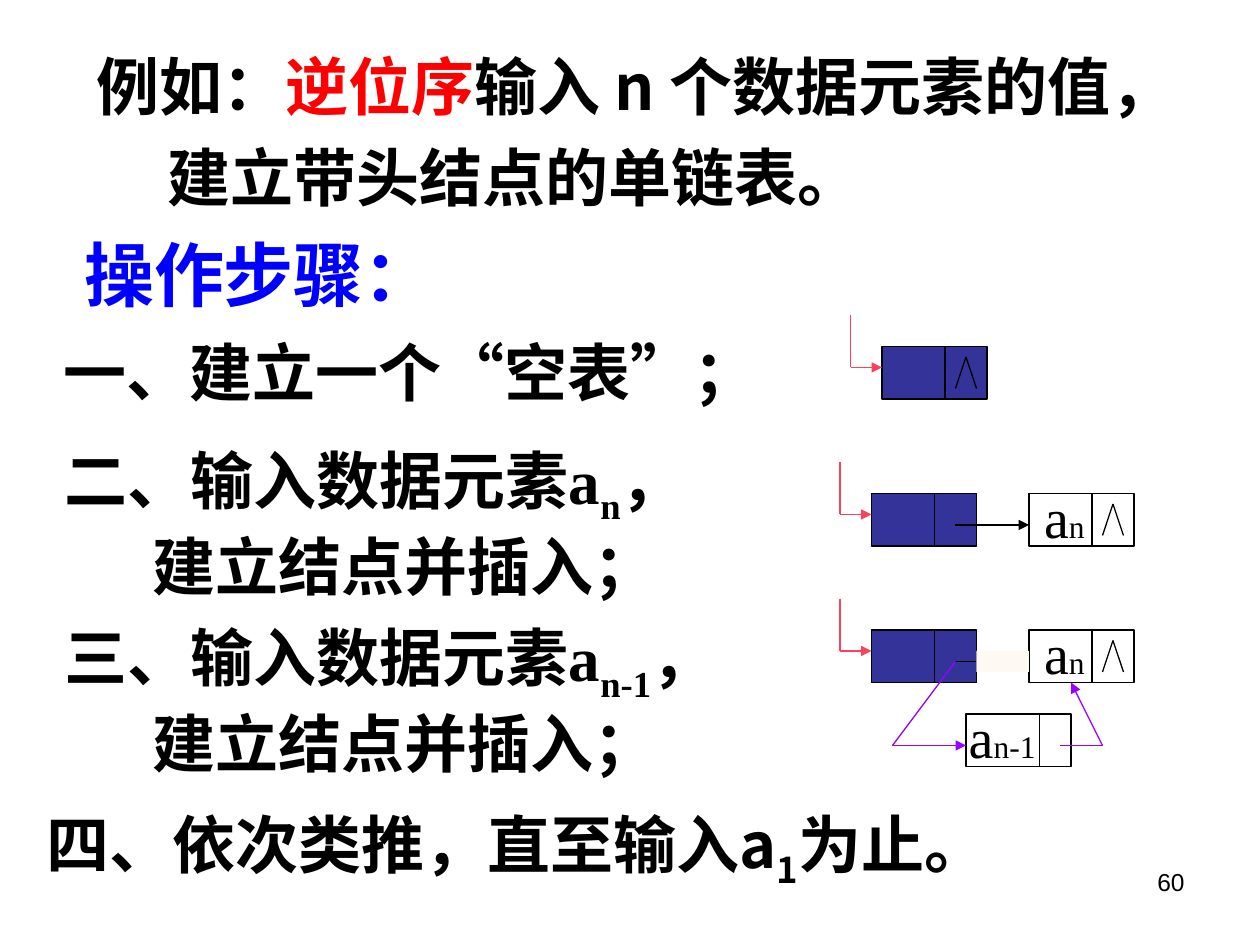
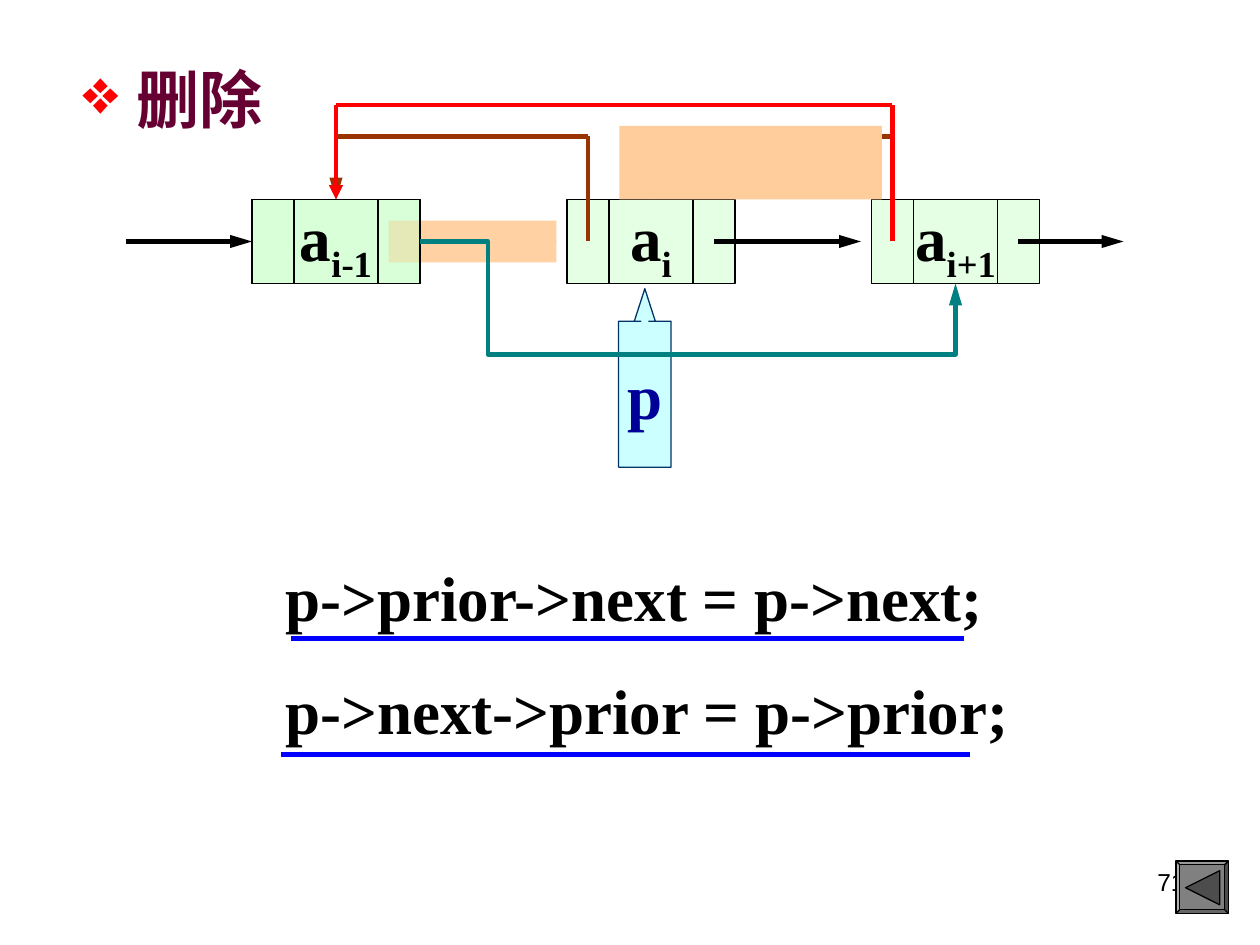
"""Build two slides on linked lists: reverse-order creation and node deletion."""
from itertools import pairwise

from lxml.etree import SubElement
from pptx import Presentation
from pptx.dml.color import RGBColor as Rgb
from pptx.enum.shapes import MSO_CONNECTOR as Connector, MSO_SHAPE as Preset
from pptx.enum.text import MSO_ANCHOR as Anchor, MSO_AUTO_SIZE as AutoSize, PP_ALIGN as Align
from pptx.oxml.ns import qn
from pptx.util import Pt

COLORS = {
    "black": "000000", "red": "FF0000", "blue": "0000FF", "wine": "660033",
    "head": "333399", "pointer": "FB415C", "purple": "9900FF", "cream": "FFF9F3",
    "green": "CCFFCC", "peach": "FFD1A3", "apricot": "FFCD9B", "brown": "993300",
    "teal": "008080", "cyan": "CCFFFF", "navy": "003366", "ink": "000099",
    "button": "808080", "button arrow": "4D4D4D",
}
SERIF, SANS, NUMBER = "Times New Roman", "Noto Sans CJK SC", "Arial"
TITLE_ONLY = 5
CELL_WIDTH, CELL_HEIGHT = 60, 30
NODE_WIDTH, NODE_HEIGHT, NODE_TOP = 96, 48, 114
NODE_MIDDLE = NODE_TOP + NODE_HEIGHT / 2


def color(name):
    return Rgb.from_string(COLORS[name])


def add_span(para, text, size=36, font=SERIF, ink="black", bold=True, lowered=False):
    span = para.add_run()
    span.text = text
    span.font.size, span.font.bold, span.font.name = Pt(size), bold, font
    span.font.color.rgb = color(ink)
    properties = span.font._element
    SubElement(properties, qn("a:ea")).set("typeface", SANS)
    if lowered:
        properties.set("baseline", "-25000")


def fill_frame(frame, paragraphs, align=Align.LEFT, spacing=1, second_indent=0, wrap=False, **style):
    """Each paragraph is a list of spans: (text, overrides of the shared style)."""
    frame.word_wrap = wrap
    for index, spans in enumerate(paragraphs):
        para = frame.add_paragraph() if index else frame.paragraphs[0]
        para.alignment, para.line_spacing = align, spacing
        if index and second_indent:
            para._p.get_or_add_pPr().set("marL", str(Pt(second_indent)))
        for text, changes in spans:
            add_span(para, text, **{**style, **changes})


def add_text(slide, place, paragraphs, **style):
    box = slide.shapes.add_textbox(*map(Pt, place))
    fill_frame(box.text_frame, paragraphs, **style)
    box.text_frame.auto_size = AutoSize.SHAPE_TO_FIT_TEXT


def set_title(slide, place, paragraphs, **style):
    title = slide.shapes.title
    title.left, title.top, title.width, title.height = map(Pt, place)
    fill_frame(title.text_frame, paragraphs, **style)
    title.text_frame.vertical_anchor = Anchor.TOP
    title.text_frame.auto_size = AutoSize.SHAPE_TO_FIT_TEXT
    return title


def add_bullet(para, symbol, ink, hang):
    properties = para._p.get_or_add_pPr()
    properties.set("marL", str(Pt(hang)))
    properties.set("indent", str(-Pt(hang)))
    bullet_color = SubElement(properties, qn("a:buClr"))
    SubElement(bullet_color, qn("a:srgbClr")).set("val", COLORS[ink])
    SubElement(properties, qn("a:buChar")).set("char", symbol)


def add_page_number(slide, number):
    add_text(slide, (516, 492, 168, 37), [[(number, {})]], align=Align.RIGHT,
             wrap=True, size=14, font=NUMBER, bold=False)


def add_block(slide, place, fill=None, line=None, preset=Preset.RECTANGLE, opacity=None):
    block = slide.shapes.add_shape(preset, *map(Pt, place))
    block.shadow.inherit = False
    if fill:
        block.fill.solid()
        block.fill.fore_color.rgb = color(fill)
    else:
        block.fill.background()
    if opacity:
        tint = block._element.spPr.find(qn("a:solidFill"))[0]
        SubElement(tint, qn("a:alpha")).set("val", str(opacity * 1000))
    if line:
        block.line.color.rgb, block.line.width = color(line), Pt(0.75)
    else:
        block.line.fill.background()
    return block


def add_label(block, spans, **style):
    fill_frame(block.text_frame, [spans], align=Align.CENTER, **style)
    block.text_frame.vertical_anchor = Anchor.MIDDLE


def add_path(slide, points, ink="black", width=0.75, head=None, kind=Connector.STRAIGHT):
    """Join the points with lines; head is the arrowhead length at the last point."""
    for start, end in pairwise(points):
        link = slide.shapes.add_connector(kind, *map(Pt, start + end))
        link.line.color.rgb, link.line.width = color(ink), Pt(width)
        SubElement(link._element.spPr, qn("a:effectLst"))
    if head:
        tip = SubElement(link.line._get_or_add_ln(), qn("a:tailEnd"))
        for key, value in (("type", "triangle"), ("w", "med"), ("len", head)):
            tip.set(key, value)
    return link


def bend_path(link, *ratios):
    geometry = link._element.spPr.find(qn("a:prstGeom"))
    geometry.set("prst", f"bentConnector{len(ratios) + 2}")
    guides = geometry.find(qn("a:avLst"))
    for index, ratio in enumerate(ratios, 1):
        guide = SubElement(guides, qn("a:gd"))
        guide.set("name", f"adj{index}")
        guide.set("fmla", f"val {round(ratio * 100000)}")


def add_cell(slide, x, y, fill=None, split=36):
    add_block(slide, (x, y, CELL_WIDTH, CELL_HEIGHT), fill, "black")
    add_path(slide, [(x + split, y), (x + split, y + CELL_HEIGHT)])


def add_head_cell(slide, x, y):
    add_cell(slide, x, y, "head")
    add_path(slide, [(x - 18, y - 18), (x - 18, y + 12), (x, y + 12)], "pointer", head="med")


def add_null_mark(slide, x, y):
    add_path(slide, [(x + 42, y + 24), (x + 48, y + 6), (x + 54, y + 24)])


def add_cell_label(slide, x, y, width, index):
    add_text(slide, (x, y - 10, width, 46), [[("a", {"size": 32}), (index, {"size": 18})]],
             bold=False)


def add_two_cell_list(slide, y):
    add_head_cell(slide, 498, y)
    add_cell(slide, 588, y)
    add_null_mark(slide, 588, y)
    add_path(slide, [(546, y + 18), (588, y + 18)], head="med")
    add_cell_label(slide, 589.5, y, 37.5, "n")


def add_node(slide, x, index, divided=True):
    block = add_block(slide, (x, NODE_TOP, NODE_WIDTH, NODE_HEIGHT), "green", "black", opacity=50)
    add_label(block, [("a", {}), (index, {"lowered": True})])
    if divided:
        for split in (x + 24, x + 72):
            add_path(slide, [(split, NODE_TOP), (split, NODE_TOP + NODE_HEIGHT)])


def add_next_arrow(slide, start, end):
    add_path(slide, [(start, NODE_MIDDLE), (end, NODE_MIDDLE)], width=2.5, head="lg")


def add_prior_arrow(slide, start, end, top, ink="brown", width=2.5, head="lg"):
    points = [(start, NODE_MIDDLE), (start, top), (end, top), (end, NODE_TOP)]
    add_path(slide, points, ink, width, head)


def add_back_button(slide):
    frame = add_block(slide, (672, 492, 30, 30), "button", "black", Preset.BEVEL)
    frame.adjustments[0] = 0.07
    arrow = add_block(slide, (677.5, 497.5, 19.5, 19.5), "button arrow", "black",
                      Preset.ISOSCELES_TRIANGLE)
    arrow.rotation = 270


def build_creation_slide(deck):
    slide = deck.slides.add_slide(deck.slide_layouts[TITLE_ONLY])
    set_title(slide, (48, 15, 654, 111), [
        [("例如：", {}), ("逆位序", {"ink": "red"}), ("输入 n 个数据元素的值，", {})],
        [("建立带头结点的单链表。", {})],
    ], spacing=1.2, second_indent=40.5, wrap=True, font=SANS)
    add_page_number(slide, "60")

    add_text(slide, (41, 129, 214, 55), [[("操作步骤：", {})]], size=40, ink="blue")
    add_text(slide, (29.5, 187, 410, 50), [[("一、建立一个“空表”；", {})]])
    for y, step, index in ((248.5, "二", "n"), (350, "三", "n-1")):
        add_text(slide, (30, y, 426, 100), [
            [(f"{step}、输入数据元素", {"font": SANS}), ("a", {}),
             (index, {"lowered": True}), ("，", {})],
            [("建立结点并插入；", {})],
        ], second_indent=50, wrap=True)
    add_text(slide, (19.5, 456.5, 570, 57), [
        [("四、依次类推，直至输入a", {}), ("1", {"lowered": True}), ("为止。", {})],
    ], font=SANS)

    add_head_cell(slide, 504, 198)
    add_null_mark(slide, 504, 198)
    for y in (282, 360):
        add_two_cell_list(slide, y)
    add_block(slide, (558, 372, 30, 12), "cream")
    add_cell(slide, 552, 408, split=42)
    add_cell_label(slide, 546.5, 408, 52.5, "n-1")
    add_path(slide, [(606, 426), (630, 426), (612, 390)], "purple", head="med")
    add_path(slide, [(546, 378), (510, 426), (552, 426)], "purple", head="med")


def build_deletion_slide(deck):
    slide = deck.slides.add_slide(deck.slide_layouts[TITLE_ONLY])
    title = set_title(slide, (40, 31, 119, 50), [[("删除", {})]], ink="wine")
    add_bullet(title.text_frame.paragraphs[0], "❖", "red", 31)
    add_page_number(slide, "71")

    add_node(slide, 144, "i-1", divided=False)
    add_node(slide, 324, "i")
    add_node(slide, 498, "i+1")
    for start, end in ((72, 144), (228, 318), (408, 492), (582, 642)):
        add_next_arrow(slide, start, end)
    add_prior_arrow(slide, 510, 372, 78)
    add_block(slide, (222, 126, 96, 24), "peach")

    callout = add_block(slide, (353.5, 165, 30, 102), "cyan", "navy", Preset.UP_ARROW_CALLOUT)
    for index, ratio in enumerate((0.15, 0.2, 0.62, 0.82)):
        callout.adjustments[index] = ratio
    add_label(callout, [("p", {})], ink="ink")

    add_prior_arrow(slide, 336, 192, 78)
    add_node(slide, 144, "i-1")
    bypass = add_path(slide, [(240, NODE_MIDDLE), (546, NODE_TOP + NODE_HEIGHT)], "teal", 2.5,
                      "lg", Connector.ELBOW)
    bend_path(bypass, 0.127, 2.688)
    add_prior_arrow(slide, 510, 192, 60, "red", 2.75, "med")
    add_block(slide, (354, 72, 150, 42), "apricot")

    add_text(slide, (156, 294, 428, 137), [
        [("p->prior->next = p->next;", {})],
        [("p->next->prior = p->prior;", {})],
    ], spacing=1.5)
    for left, right, y in ((166.5, 551, 365), (160.5, 554.5, 431)):
        add_path(slide, [(left, y), (right, y)], "blue", 3)
    add_back_button(slide)


def main():
    deck = Presentation()
    deck.slide_width, deck.slide_height = Pt(720), Pt(540)
    build_creation_slide(deck)
    build_deletion_slide(deck)
    deck.save("out.pptx")


if __name__ == "__main__":
    main()
